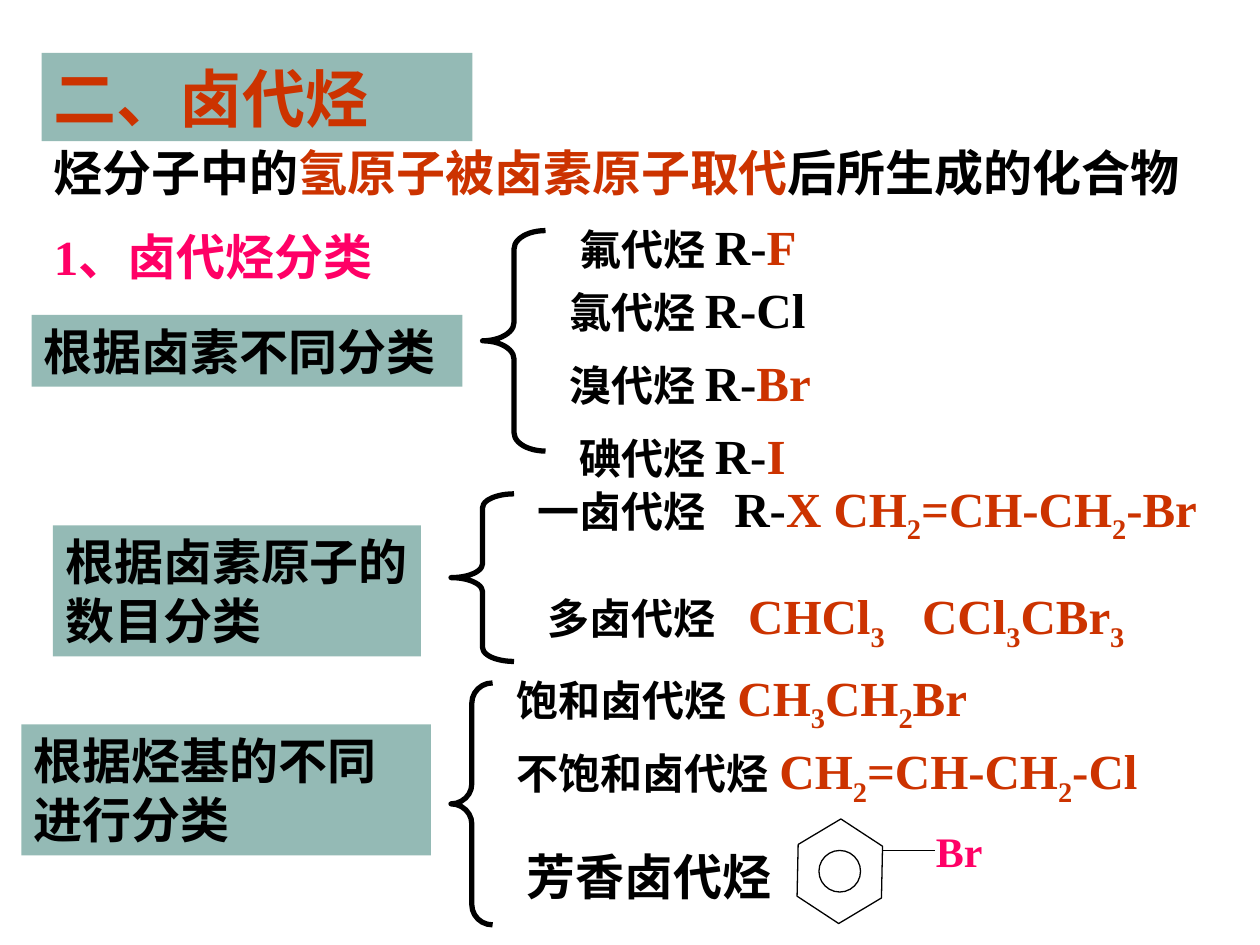
import itertools
from dataclasses import dataclass

import pptx
import pptx.dml.color
import pptx.enum.shapes
import pptx.enum.text
import pptx.util
from lxml import etree
from pptx.oxml.ns import qn
from pptx.util import Inches

KIND = pptx.enum.shapes.MSO_SHAPE
FONT = "Times New Roman"
BLACK, WHITE, RED, PINK, TEAL = "000000", "FFFFFF", "CC3300", "FF0066", "94BAB5"


@dataclass
class Run:
    text: str
    size: int = 28
    color: str = BLACK
    sub: bool = False


@dataclass
class Box:
    left: float
    top: float
    width: float
    height: float
    runs: list[Run]
    fill: str = ""
    tabs: tuple[float, ...] = ()


@dataclass
class Frame:
    left: float
    top: float
    width: float
    height: float


def paint(form, color: str) -> None:
    """Give a fill or a line one solid colour."""
    form.solid()
    form.fore_color.rgb = pptx.dml.color.RGBColor.from_string(color)


def formula(text: str) -> list[Run]:
    """Red runs, with every digit lowered."""
    return [Run("".join(part), 28, RED, low)
            for low, part in itertools.groupby(text, str.isdigit)]


def name(text: str) -> Run:
    return Run(text, 24)


def add_run(para, item: Run) -> None:
    run = para.add_run()
    run.text = item.text
    font = run.font
    font.name, font.size, font.bold = FONT, pptx.util.Pt(item.size), True
    paint(font.fill, item.color)
    if item.sub:
        run._r.get_or_add_rPr().set("baseline", "-25000")


def add_box(slide, box: Box) -> None:
    shape = slide.shapes.add_textbox(
        Inches(box.left), Inches(box.top), Inches(box.width), Inches(box.height))
    if box.fill:
        paint(shape.fill, box.fill)
    frame = shape.text_frame
    frame.word_wrap = True
    frame.auto_size = pptx.enum.text.MSO_AUTO_SIZE.SHAPE_TO_FIT_TEXT
    para = frame.paragraphs[0]
    if box.tabs:
        stops = etree.SubElement(para._p.get_or_add_pPr(), qn("a:tabLst"))
        for stop in box.tabs:
            etree.SubElement(stops, qn("a:tab"), pos=str(Inches(stop)), algn="l")
    for item in box.runs:
        add_run(para, item)


def add_shape(slide, kind, at: Frame, width: float, fill: str = ""):
    shape = slide.shapes.add_shape(
        kind, Inches(at.left), Inches(at.top), Inches(at.width), Inches(at.height))
    shape.shadow.inherit = False
    if fill:
        paint(shape.fill, fill)
    else:
        shape.fill.background()
    paint(shape.line.fill, BLACK)
    shape.line.width = pptx.util.Pt(width)
    return shape


def add_brace(slide, at: Frame) -> None:
    """Left brace whose curls are each a twelfth of its height."""
    brace = add_shape(slide, KIND.LEFT_BRACE, at, 3)
    brace.adjustments[0] = at.height / 12 / min(at.width, at.height)


def add_bond(slide, left: float, right: float, top: float) -> None:
    bond = slide.shapes.add_connector(
        pptx.enum.shapes.MSO_CONNECTOR.STRAIGHT,
        Inches(left), Inches(top), Inches(right), Inches(top))
    paint(bond.line.fill, BLACK)
    bond.line.width = pptx.util.Pt(0.75)
    etree.SubElement(bond._element.spPr, qn("a:effectLst"))


def add_ring(slide) -> None:
    """Benzene ring with a bond to the right."""
    ring = add_shape(slide, KIND.HEXAGON, Frame(6.25, 6.58, 0.83, 0.67), 0.75, WHITE)
    ring.adjustments[0] = 0.313
    ring.rotation = 91.2
    add_shape(slide, KIND.OVAL, Frame(6.5, 6.75, 0.33, 0.33), 0.75, WHITE)
    add_bond(slide, 7, 7.42, 6.75)


HEADS = [
    Box(0.33, 0.42, 3.42, 0.7, [Run("二、卤代烃", 36, RED)], TEAL),
    Box(0.33, 1.08, 9.42, 0.57, [Run("烃分子中的"), Run("氢原子被卤素原子取代", 28, RED),
                                 Run("后所生成的化合物")]),
    Box(0.33, 1.75, 3.08, 0.57, [Run("1、卤代烃分类", 28, PINK)]),
    Box(0.25, 2.5, 3.42, 0.57, [Run("根据卤素不同分类")], TEAL),
    Box(0.42, 4.17, 2.92, 1.04, [Run("根据卤素原子的数目分类")], TEAL),
    Box(0.17, 5.75, 3.25, 1.04, [Run("根据烃基的不同进行分类")], TEAL),
]
BRACES = [
    Frame(3.83, 1.83, 0.5, 1.75),
    Frame(3.58, 3.92, 0.5, 1.33),
    Frame(3.58, 5.42, 0.33, 1.92),
]
KINDS = [
    Box(4.5, 1.67, 2.58, 0.57, [name("氟代烃 "), Run("R-"), *formula("F")]),
    Box(4.42, 2.17, 3.25, 0.57, [name("氯代烃 "), Run("R-Cl")]),
    Box(4.42, 2.75, 2.83, 0.57, [name("溴代烃 "), Run("R-"), *formula("Br")]),
    Box(4.5, 3.33, 4.17, 0.57, [name("碘代烃 "), Run("R-"), *formula("I")]),
    Box(4.17, 3.75, 5.75, 0.63,
        [name("一卤代烃\t"), Run("R-"), *formula("X CH2=CH-CH2-Br")], tabs=(1.56,)),
    Box(4.25, 4.6, 5.33, 0.63,
        [name("多卤代烃\t"), *formula("CHCl3\tCCl3CBr3")], tabs=(1.59, 2.97)),
    Box(4, 5.25, 5.42, 0.63, [name("饱和卤代烃"), Run(" "), *formula("CH3CH2Br")]),
    Box(4, 5.83, 6, 0.63, [name("不饱和卤代烃"), Run(" "), *formula("CH2=CH-CH2-Cl")]),
    Box(4.08, 6.67, 5.42, 0.57, [Run("芳香卤代烃")]),
]
BROMO = Box(7.33, 6.5, 0.58, 0.5, [Run("Br", 24, PINK)])


def main() -> None:
    deck = pptx.Presentation()
    deck.slide_width, deck.slide_height = Inches(10), Inches(7.5)
    slide = deck.slides.add_slide(deck.slide_layouts[6])
    for brace in BRACES:
        add_brace(slide, brace)
    for box in HEADS + KINDS:
        add_box(slide, box)
    add_ring(slide)
    add_box(slide, BROMO)
    deck.save("out.pptx")


if __name__ == "__main__":
    main()
